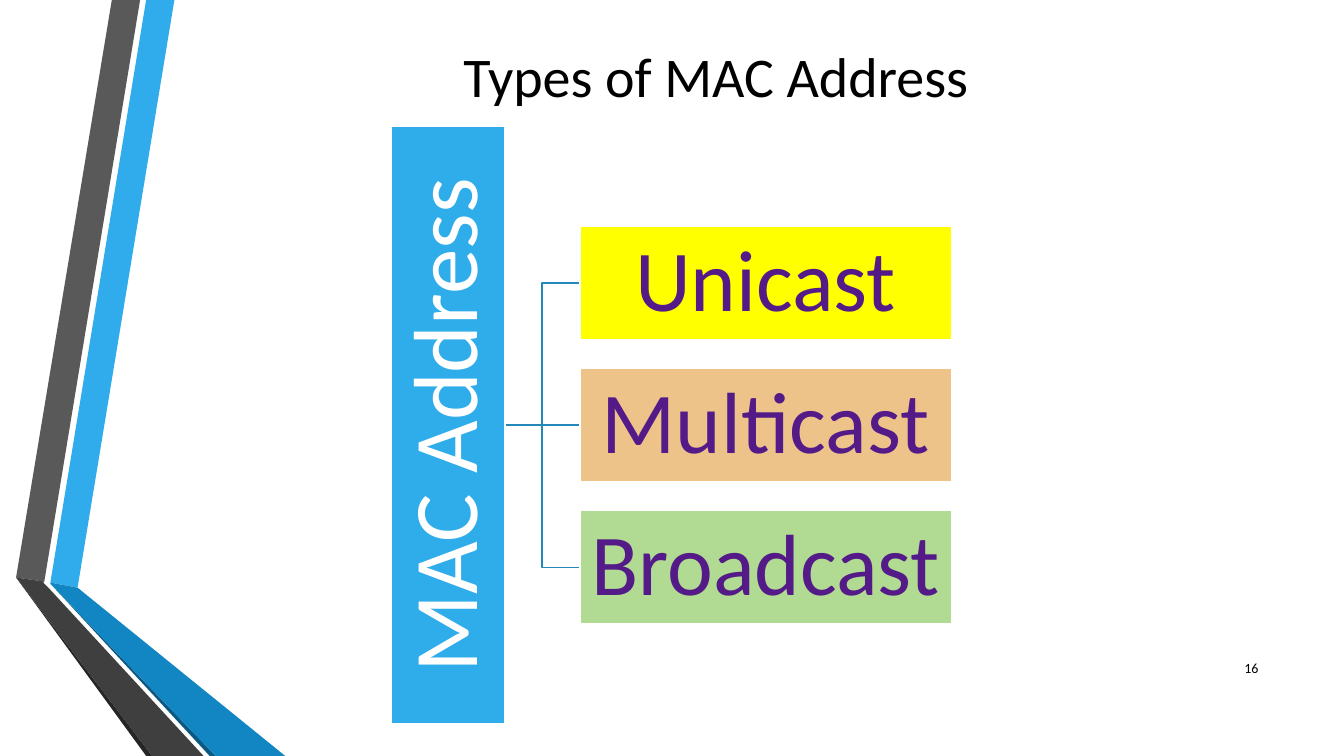
import pptx
import pptx.util
import pptx.dml.color
import pptx.enum.shapes
import pptx.enum.text
import pptx.oxml

Inches = pptx.util.Inches
Align = pptx.enum.text.PP_ALIGN

HUES = {
    "sky": "30ACEC", "gray": "595959", "ink": "262626", "navy": "0B5982",
    "blue": "1186C3", "dark": "3F3F3F", "root": "2FACEA", "line": "2488BA",
    "yellow": "FFFF00", "tan": "EDC38A", "green": "B1DB93",
    "purple": "531A88", "white": "FFFFFF", "black": "000000",
}
BANDS = [
    ("sky", [(0.5, 5.78), (0.77, 5.83), (1.73, 0), (1.45, 0)]),
    ("gray", [(1.39, 0), (1.11, 0), (0.16, 5.73), (0.44, 5.77)]),
    ("ink", [(0.16, 5.73), (1.45, 7.5), (1.51, 7.5)]),
    ("navy", [(0.5, 5.79), (2.08, 7.5), (2.14, 7.5)]),
    ("blue", [(0.5, 5.79), (2.14, 7.5), (2.83, 7.5), (0.77, 5.83), (0.5, 5.78)]),
    ("dark", [(2.02, 7.5), (0.48, 5.83), (0.43, 5.78), (0.44, 5.77),
              (0.16, 5.73), (1.51, 7.5)]),
]
TITLE = "Types of MAC Address"
ROOT = "MAC Address"
KINDS = [("Unicast", "yellow"), ("Multicast", "tan"), ("Broadcast", "green")]
PAGE = "16"

MID = 4.22
STEP = 1.41
HIGH = 1.13
LONG = 5.93
WIDE = 3.69
START = 5.01
LEFT = 5.75
BEND = (START + LEFT) / 2


def color(name):
    return pptx.dml.color.RGBColor.from_string(HUES[name])


def write(shape, text, size, hue, align=Align.CENTER, inset=(0.1, 0.05), space=None):
    frame = shape.text_frame
    frame.word_wrap = True
    frame.vertical_anchor = pptx.enum.text.MSO_ANCHOR.MIDDLE
    frame.margin_left = frame.margin_right = Inches(inset[0])
    frame.margin_top = frame.margin_bottom = Inches(inset[1])
    para = frame.paragraphs[0]
    para.alignment = align
    if space:
        para.line_spacing = space
    run = para.add_run()
    run.text = text
    run.font.name = "Calibri"
    run.font.size = pptx.util.Pt(size)
    run.font.color.rgb = color(hue)


def label(shapes, box, *args, **opts):
    write(shapes.add_textbox(*map(Inches, box)), *args, **opts)


def outline(shapes, points, closed):
    spots = [(Inches(x), Inches(y)) for x, y in points]
    pen = shapes.build_freeform(*spots[0])
    pen.add_line_segments(spots[1:], close=closed)
    shape = pen.convert_to_shape()
    shape.shadow.inherit = False
    return shape


def stroke(line, hue):
    line.color.rgb = color(hue)
    line.width = pptx.util.Pt(1.25)


def block(shapes, left, mid, wide, fill):
    box = map(Inches, (left, mid - HIGH / 2, wide, HIGH))
    shape = shapes.add_shape(pptx.enum.shapes.MSO_SHAPE.RECTANGLE, *box)
    shape.shadow.inherit = False
    shape.fill.solid()
    shape.fill.fore_color.rgb = color(fill)
    stroke(shape.line, "white")
    return shape


def main():
    deck = pptx.Presentation()
    deck.slide_width, deck.slide_height = Inches(13.33), Inches(7.5)
    shapes = deck.slides.add_slide(deck.slide_layouts[6]).shapes

    for hue, points in BANDS:
        band = outline(shapes, points, True)
        band.fill.solid()
        band.fill.fore_color.rgb = color(hue)
        band.line.fill.background()

    label(shapes, (1.62, 0.32, 10.96, 0.86), TITLE, 40, "black")

    for end in (MID + STEP, MID - STEP):
        points = [(START, MID), (BEND, MID), (BEND, end), (LEFT, end)]
        branch = outline(shapes, points, False)
        branch.fill.background()
        stroke(branch.line, "line")
    link = shapes.add_connector(
        pptx.enum.shapes.MSO_CONNECTOR.STRAIGHT,
        *map(Inches, (START, MID, LEFT, MID)))
    stroke(link.line, "line")
    link._element.spPr.append(pptx.oxml.parse_xml(
        '<a:effectLst xmlns:a="http://schemas.openxmlformats.org/drawingml/2006/main"/>'))

    root = block(shapes, START - HIGH / 2 - LONG / 2, MID, LONG, "root")
    root.rotation = 270
    write(root, ROOT, 65, "white", inset=(0.05, 0.05), space=0.9)

    boxes = []
    for i, (name, fill) in enumerate(KINDS):
        box = block(shapes, LEFT, MID + (i - 1) * STEP, WIDE, fill)
        write(box, name, 62, "purple", inset=(0.04, 0.04), space=0.9)
        boxes.append(box)

    link.begin_connect(root, 2)
    link.end_connect(boxes[1], 1)
    link.begin_x, link.begin_y = Inches(START), Inches(MID)
    link.end_x, link.end_y = Inches(LEFT), Inches(MID)

    label(shapes, (11.98, 6.43, 0.6, 0.4), PAGE, 10, "black", align=Align.RIGHT)
    deck.save("out.pptx")


if __name__ == "__main__":
    main()
